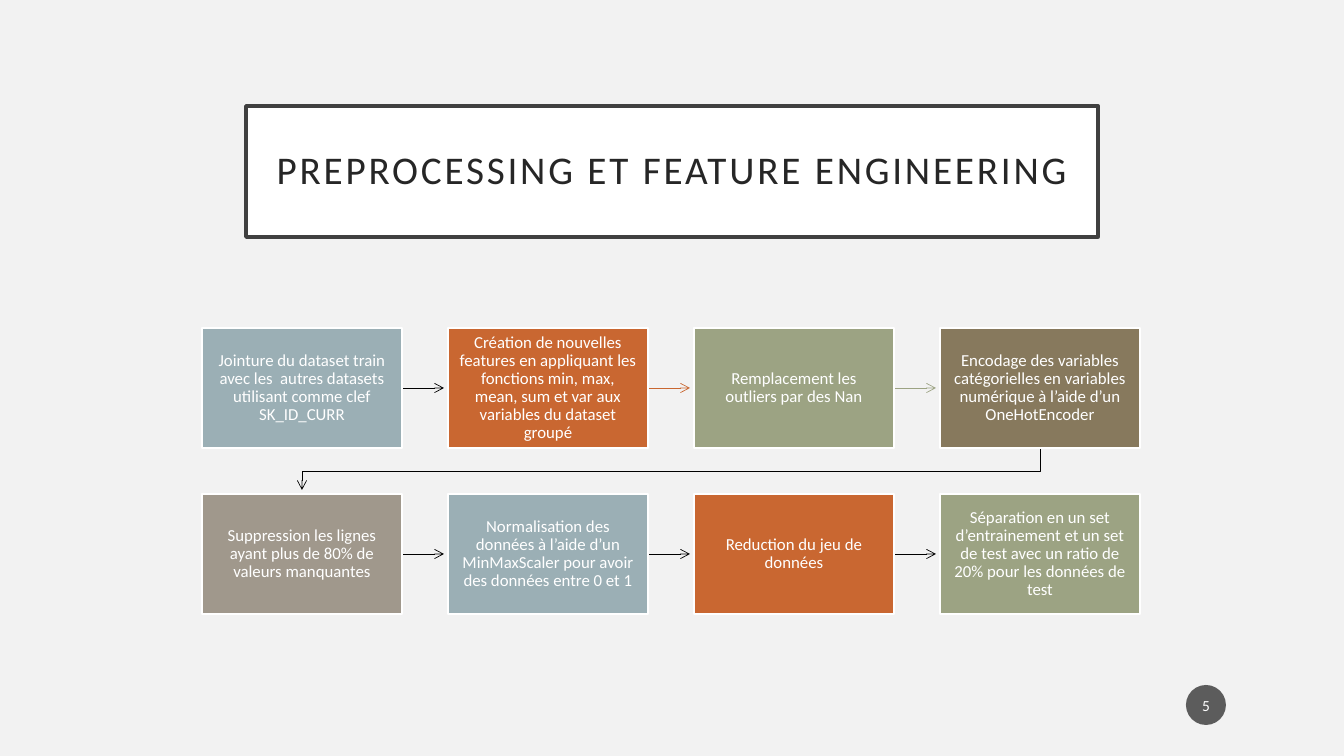
from lxml import etree
from pptx import Presentation, util as u
from pptx.dml.color import RGBColor
from pptx.enum import shapes, text
from pptx.oxml.ns import qn

SCALE = 12192000 / 1344
FONT = "Calibri"
PAPER = RGBColor(0xF2, 0xF2, 0xF2)
WHITE = RGBColor(0xFF, 0xFF, 0xFF)
BLACK = RGBColor(0, 0, 0)
INK = RGBColor(0x26, 0x26, 0x26)
FRAME = RGBColor(0x40, 0x40, 0x40)
BADGE = RGBColor(0x1D, 0x1D, 0x1D)
BLUE = RGBColor(0x9B, 0xAF, 0xB5)
RUST = RGBColor(0xC9, 0x67, 0x31)
SAGE = RGBColor(0x9C, 0xA3, 0x83)
BROWN = RGBColor(0x87, 0x79, 0x5D)
STONE = RGBColor(0xA0, 0x98, 0x8C)

LEFT, TOP, WIDE, HIGH = 202, 328, 200, 120
STEP, ROW, COLS = 246, 166, 4
GAP = 42

TASKS = [
    ("Jointure du dataset train avec les  autres datasets utilisant comme clef SK_ID_CURR", BLUE, BLACK),
    ("Création de nouvelles features en appliquant les fonctions min, max, mean, sum et var "
     "aux variables du dataset groupé", RUST, RUST),
    ("Remplacement les outliers par des Nan", SAGE, SAGE),
    ("Encodage des variables catégorielles en variables numérique à l’aide d’un OneHotEncoder", BROWN, BLACK),
    ("Suppression les lignes ayant plus de 80% de valeurs manquantes", STONE, BLACK),
    ("Normalisation des données à l’aide d’un MinMaxScaler pour avoir des données entre 0 et 1", BLUE, BLACK),
    ("Reduction du jeu de données", RUST, BLACK),
    ("Séparation en un set d’entrainement et un set de test avec un ratio de 20% "
     "pour les données de test", SAGE, BLACK),
]


def px(n):
    return u.Emu(round(n * SCALE))


def write(shape, words, size=12, color=WHITE, pad=(10, 10), lead=0.9, track=0):
    frame = shape.text_frame
    frame.word_wrap = True
    frame.auto_size = text.MSO_AUTO_SIZE.NONE
    frame.vertical_anchor = text.MSO_ANCHOR.MIDDLE
    frame.margin_left = frame.margin_right = px(pad[0])
    frame.margin_top = frame.margin_bottom = px(pad[1])
    para = frame.paragraphs[0]
    para.alignment = text.PP_ALIGN.CENTER
    para.line_spacing = lead
    run = para.add_run()
    run.text = words
    run.font.name = FONT
    run.font.size = u.Pt(size)
    run.font.color.rgb = color
    if track:
        run.font._element.set("spc", str(track * 100))


class Page:
    def __init__(self, deck):
        self.slide = deck.slides.add_slide(deck.slide_layouts[5])
        self.shapes = self.slide.shapes
        fill = self.slide.background.fill
        fill.solid()
        fill.fore_color.rgb = PAPER

    def paint(self, shape, fill, line=None, width=1):
        shape.fill.solid()
        shape.fill.fore_color.rgb = fill
        if line is None:
            shape.line.fill.background()
        else:
            shape.line.color.rgb = line
            shape.line.width = u.Pt(width)

    def title(self, words, x, y, w, h):
        shape = self.shapes.title
        shape.left, shape.top, shape.width, shape.height = map(px, (x, y, w, h))
        self.paint(shape, WHITE, FRAME, 2.5)
        write(shape, words, size=28, color=INK, pad=(20, 20), track=2)

    def box(self, words, x, y, fill):
        shape = self.shapes.add_shape(shapes.MSO_SHAPE.RECTANGLE, px(x), px(y), px(WIDE), px(HIGH))
        shape.shadow.inherit = False
        self.paint(shape, fill, WHITE)
        write(shape, words)

    def badge(self, words, x, y, size):
        shape = self.shapes.add_shape(shapes.MSO_SHAPE.OVAL, px(x), px(y), px(size), px(size))
        shape.shadow.inherit = False
        self.paint(shape, BADGE)
        tint = shape._element.spPr.find(".//" + qn("a:srgbClr"))
        etree.SubElement(tint, qn("a:alpha")).set("val", "70000")
        write(shape, words, size=11, pad=(2, 5), lead=1)

    def tip(self, shape, color):
        shape.line.color.rgb = color
        shape.line.width = u.Pt(0.5)
        props = shape._element.spPr
        etree.SubElement(props.find(qn("a:ln")), qn("a:tailEnd")).set("type", "arrow")
        if props.find(qn("a:effectLst")) is None:
            etree.SubElement(props, qn("a:effectLst"))

    def arrow(self, x, y, color):
        line = self.shapes.add_connector(shapes.MSO_CONNECTOR.STRAIGHT, px(x), px(y), px(x + GAP), px(y))
        self.tip(line, color)

    def bend(self, points, color):
        pen = self.shapes.build_freeform(*points[0], scale=SCALE)
        pen.add_line_segments(points[1:], close=False)
        shape = pen.convert_to_shape()
        shape.shadow.inherit = False
        shape.fill.background()
        self.tip(shape, color)


def main():
    deck = Presentation()
    deck.slide_width, deck.slide_height = px(1344), px(756)
    page = Page(deck)
    page.title("PREPROCESSING ET FEATURE ENGINEERING", 246, 106, 852, 131)

    for i, (words, fill, line) in enumerate(TASKS):
        row, col = divmod(i, COLS)
        x, y = LEFT + col * STEP, TOP + row * ROW
        if col < COLS - 1:
            page.arrow(x + WIDE, y + HIGH // 2, line)
        elif row == 0:
            end, start = LEFT + WIDE // 2, x + WIDE // 2
            base = y + HIGH
            mid = base + (ROW - HIGH) // 2
            page.bend([(start, base), (start, mid), (end, mid), (end, base + GAP)], line)
        page.box(words, x, y, fill)

    page.badge("5", 1186, 685, 40)
    deck.save("out.pptx")


if __name__ == "__main__":
    main()
